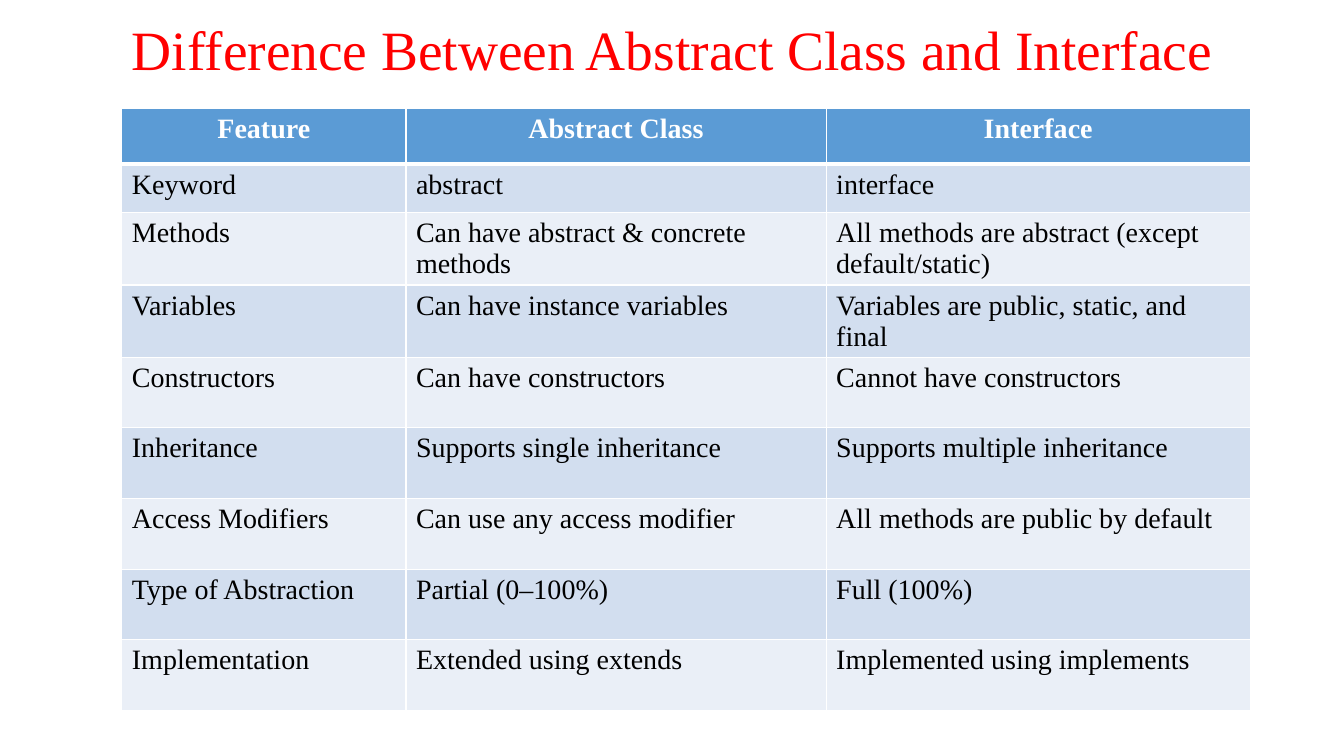
from dataclasses import dataclass

from lxml.etree import SubElement
from pptx import Presentation
from pptx.dml.color import RGBColor
from pptx.enum.text import MSO_ANCHOR, MSO_AUTO_SIZE, PP_ALIGN
from pptx.oxml.ns import qn
from pptx.slide import Slide
from pptx.table import _Cell
from pptx.text.text import TextFrame
from pptx.util import Cm, Pt

FONT = "Times New Roman"
WHITE, BLACK, RED = "FFFFFF", "000000", "FF0000"
HEADER_BLUE = "5B9BD5"
BANDS = ("D2DEEF", "EAEFF7")
COLUMN_WIDTHS = (7.16, 10.59, 10.69)
HEADER_HEIGHT, KEYWORD_HEIGHT, ROW_HEIGHT = 1.4, 1.22, 1.78


@dataclass(frozen=True)
class Comparison:
    feature: str
    abstract_class: str
    interface: str


HEADINGS = Comparison("Feature", "Abstract Class", "Interface")
COMPARISONS = (
    Comparison("Keyword", "abstract", "interface"),
    Comparison("Methods", "Can have abstract & concrete methods",
               "All methods are abstract (except default/static)"),
    Comparison("Variables", "Can have instance variables",
               "Variables are public, static, and final"),
    Comparison("Constructors", "Can have constructors", "Cannot have constructors"),
    Comparison("Inheritance", "Supports single inheritance",
               "Supports multiple inheritance"),
    Comparison("Access Modifiers", "Can use any access modifier",
               "All methods are public by default"),
    Comparison("Type of Abstraction", "Partial (0–100%)", "Full (100%)"),
    Comparison("Implementation", "Extended using extends",
               "Implemented using implements"),
)


def rgb(value: str) -> RGBColor:
    return RGBColor.from_string(value)


def write(frame: TextFrame, text: str, *, size: float, color: str = BLACK,
          bold: bool = False, align: PP_ALIGN = PP_ALIGN.LEFT,
          line_spacing: float = 1.0) -> None:
    paragraph = frame.paragraphs[0]
    paragraph.alignment = align
    paragraph.line_spacing = line_spacing
    run = paragraph.add_run()
    run.text = text
    run.font.name = FONT
    run.font.size = Pt(size)
    run.font.bold = bold
    run.font.color.rgb = rgb(color)


def add_borders(cell: _Cell, top: float, bottom: float) -> None:
    """Draw white borders, 1 pt at the sides; widths are in points."""
    properties = cell._tc.get_or_add_tcPr()
    for side, width in (("L", 1), ("R", 1), ("T", top), ("B", bottom)):
        line = SubElement(properties, qn(f"a:ln{side}"), w=str(Pt(width)))
        fill = SubElement(line, qn("a:solidFill"))
        SubElement(fill, qn("a:srgbClr"), val=WHITE)


def add_title(slide: Slide) -> None:
    title = slide.shapes.title
    title.left, title.top = Cm(2.34), Cm(0.48)
    title.width, title.height = Cm(29.21), Cm(1.68)
    frame = title.text_frame
    frame.word_wrap = True
    frame.auto_size = MSO_AUTO_SIZE.NONE
    frame.vertical_anchor = MSO_ANCHOR.MIDDLE
    write(frame, "Difference Between Abstract Class and Interface", size=39.6,
          color=RED, align=PP_ALIGN.CENTER, line_spacing=0.9)


def add_comparison_table(slide: Slide) -> None:
    comparisons = (HEADINGS, *COMPARISONS)
    heights = [HEADER_HEIGHT, KEYWORD_HEIGHT]
    heights += [ROW_HEIGHT] * (len(comparisons) - len(heights))
    table = slide.shapes.add_table(
        len(comparisons), len(COLUMN_WIDTHS), Cm(3.07), Cm(2.74),
        Cm(sum(COLUMN_WIDTHS)), Cm(sum(heights))).table
    for column, width in zip(table.columns, COLUMN_WIDTHS):
        column.width = Cm(width)

    for index, (row, comparison) in enumerate(zip(table.rows, comparisons)):
        row.height = Cm(heights[index])
        is_header = index == 0
        texts = (comparison.feature, comparison.abstract_class, comparison.interface)
        for cell, text in zip(row.cells, texts):
            add_borders(cell, top=3 if index == 1 else 1, bottom=3 if is_header else 1)
            cell.fill.solid()
            cell.fill.fore_color.rgb = rgb(
                HEADER_BLUE if is_header else BANDS[(index - 1) % 2])
            write(cell.text_frame, text, size=20, bold=is_header,
                  color=WHITE if is_header else BLACK,
                  align=PP_ALIGN.CENTER if is_header else PP_ALIGN.LEFT)


def main() -> None:
    presentation = Presentation()
    presentation.slide_width, presentation.slide_height = Cm(33.87), Cm(19.05)
    slide = presentation.slides.add_slide(
        presentation.slide_layouts.get_by_name("Title Only"))
    add_title(slide)
    add_comparison_table(slide)
    presentation.save("out.pptx")


if __name__ == "__main__":
    main()
